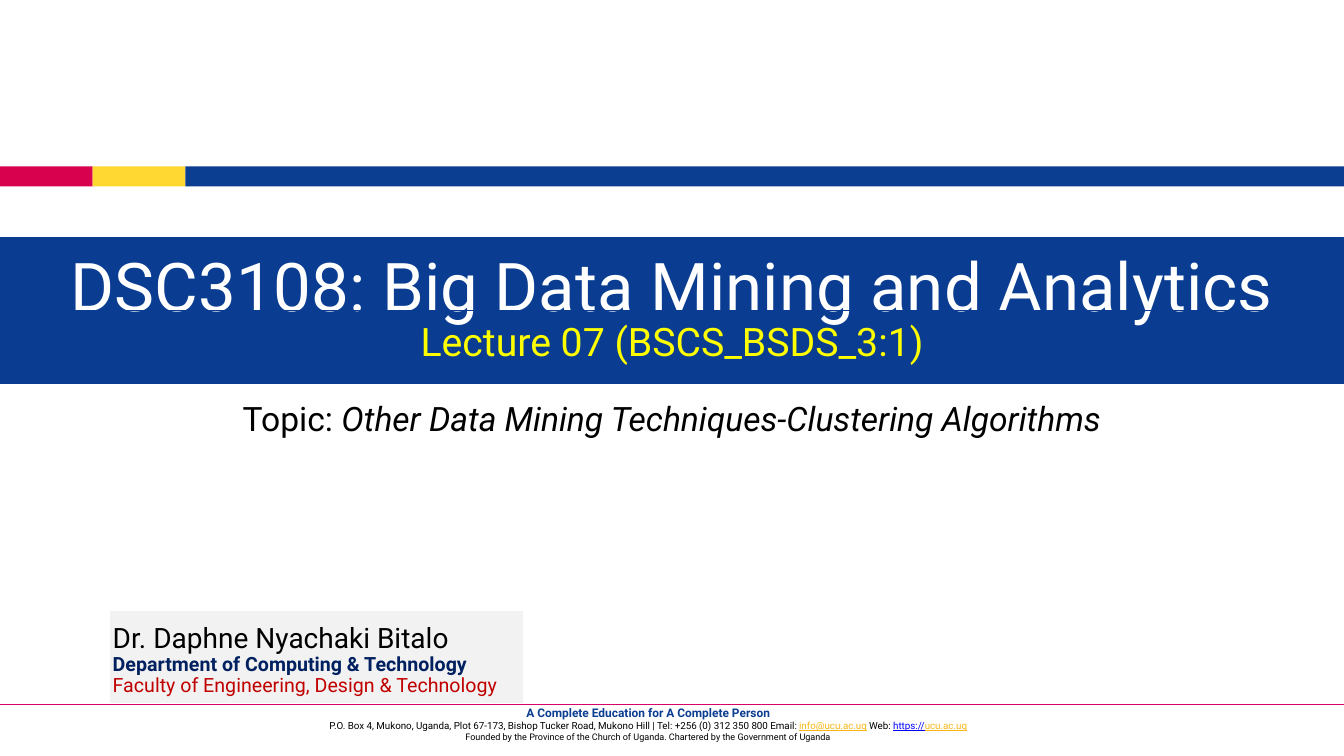
import pptx
import pptx.dml.color
import pptx.enum.shapes
import pptx.enum.text
import pptx.oxml.ns
import pptx.util
from dataclasses import dataclass
from lxml import etree


@dataclass(frozen=True)
class Theme:
    font: str = "Roboto"
    blue: str = "0B3D91"
    band: str = "0A3D91"
    red: str = "D7014D"
    gold: str = "FFD932"
    rule: str = "D70167"
    panel: str = "F2F2F2"
    black: str = "000000"
    white: str = "FFFFFF"
    yellow: str = "FFFF00"
    navy: str = "002060"
    crimson: str = "C00000"
    link: str = "0000FF"
    amber: str = "F7B615"
    title: float = 48
    lecture: float = 28
    topic: float = 24
    lecturer: float = 20
    unit: float = 14
    motto: float = 8.5
    address: float = 7
    charter: float = 6.5
    outline: float = 0.75


THEME = Theme()
WIDTH, HEIGHT = 13.33, 7.5
BREAK = "\n"

# Each paragraph is a list of runs: text, size, colour, style (b, i, u)
TITLE = [[("DSC3108: Big Data Mining and Analytics", THEME.title, THEME.white, "")]]
LECTURE = [[("Lecture 07 (BSCS_BSDS_3:1)", THEME.lecture, THEME.yellow, "")]]
TOPIC = [[
    ("Topic: ", THEME.topic, THEME.black, ""),
    ("Other Data Mining Techniques-Clustering Algorithms", THEME.topic, THEME.black, "i"),
]]
LECTURER = [
    [("Dr. Daphne Nyachaki Bitalo", THEME.lecturer, THEME.black, "")],
    [("Department of Computing & Technology", THEME.unit, THEME.navy, "b")],
    [("Faculty of Engineering, Design & Technology", THEME.unit, THEME.crimson, "")],
]
FOOTER = [
    [
        ("A Complete Education for A Complete Person", THEME.motto, THEME.blue, "b"),
        BREAK,
        ("P.O. Box 4, Mukono, Uganda, Plot 67-173, Bishop Tucker Road, Mukono Hill"
         " | Tel: +256 (0) 312 350 800 Email: ", THEME.address, THEME.black, ""),
        ("info@ucu.ac.ug", THEME.address, THEME.amber, "u"),
        (" ", THEME.address, THEME.link, ""),
        ("Web: ", THEME.address, THEME.black, ""),
        ("https://", THEME.address, THEME.link, "u"),
        ("ucu.ac.ug", THEME.address, THEME.amber, "u"),
    ],
    [("Founded by the Province of the Church of Uganda. Chartered by the Government of Uganda",
      THEME.charter, THEME.black, "")],
]

# Areas: left, top, width, height in percent of the slide
STRIPE_TOP, STRIPE_HEIGHT, STRIPE_STEP = 22, 2.67, 6.9
STRIPES = [
    (THEME.red, 0, STRIPE_STEP),
    (THEME.gold, STRIPE_STEP, STRIPE_STEP),
    (THEME.blue, 2 * STRIPE_STEP, 100 - 2 * STRIPE_STEP),
]
FOOTER_AREA = (17.4, 92.67, 61.67, 6.27)
RULE_TOP = 93.2
TOPIC_AREA = (12.5, 52.53, 75, 24.13)
PANEL_AREA = (8.25, 80.93, 30.6, 12)
LECTURER_AREA = (7.65, 81.33, 31.2, 12.13)
BAND_AREA = (0, 31.47, 100, 19.33)
TITLE_AREA = (0, 31.87, 100, 12.93)
LECTURE_AREA = (0, 41.07, 100, 8.93)

CENTER = pptx.enum.text.PP_ALIGN.CENTER
LEFT = pptx.enum.text.PP_ALIGN.LEFT
MIDDLE = pptx.enum.text.MSO_ANCHOR.MIDDLE
TOP = pptx.enum.text.MSO_ANCHOR.TOP


def rgb(colour):
    return pptx.dml.color.RGBColor.from_string(colour)


def to_lengths(area):
    """Turn percentages of the slide into lengths."""
    return [pptx.util.Inches(share * side / 100)
            for share, side in zip(area, (WIDTH, HEIGHT, WIDTH, HEIGHT))]


def set_outline(shape, colour):
    shape.line.color.rgb = rgb(colour)
    shape.line.width = pptx.util.Pt(THEME.outline)


def add_box(slide, area, fill=None, outline=None):
    shape = slide.shapes.add_shape(
        pptx.enum.shapes.MSO_SHAPE.RECTANGLE, *to_lengths(area))
    shape.shadow.inherit = False
    if fill:
        shape.fill.solid()
        shape.fill.fore_color.rgb = rgb(fill)
    else:
        shape.fill.background()
    if outline:
        set_outline(shape, outline)
    else:
        shape.line.fill.background()
    return shape


def write(shape, paragraphs, alignment=CENTER, anchor=MIDDLE, spacing=0.9):
    frame = shape.text_frame
    frame.word_wrap = True
    frame.auto_size = pptx.enum.text.MSO_AUTO_SIZE.NONE
    frame.vertical_anchor = anchor
    for index, runs in enumerate(paragraphs):
        paragraph = frame.add_paragraph() if index else frame.paragraphs[0]
        paragraph.alignment = alignment
        paragraph.line_spacing = spacing
        paragraph.space_before = pptx.util.Pt(0)
        for item in runs:
            if item == BREAK:
                paragraph.add_line_break()
                continue
            text, size, colour, style = item
            run = paragraph.add_run()
            run.text = text
            run.font.name = THEME.font
            run.font.size = pptx.util.Pt(size)
            run.font.color.rgb = rgb(colour)
            run.font.bold = "b" in style
            run.font.italic = "i" in style
            run.font.underline = "u" in style


def add_text(slide, area, paragraphs, **layout):
    write(slide.shapes.add_textbox(*to_lengths(area)), paragraphs, **layout)


def add_rule(slide):
    left, top, right, bottom = to_lengths((0, RULE_TOP, 100, RULE_TOP))
    rule = slide.shapes.add_connector(
        pptx.enum.shapes.MSO_CONNECTOR.STRAIGHT, left, top, right, bottom)
    rule.line.color.rgb = rgb(THEME.rule)
    rule.line.width = pptx.util.Pt(1)
    etree.SubElement(rule.element.spPr, pptx.oxml.ns.qn("a:effectLst"))


def place_title(slide):
    """Put the title placeholder in front of the band drawn so far."""
    title = slide.shapes.title
    title.left, title.top, title.width, title.height = to_lengths(TITLE_AREA)
    set_outline(title, THEME.band)
    write(title, TITLE)
    title.element.getparent().append(title.element)


def main():
    presentation = pptx.Presentation()
    presentation.slide_width = pptx.util.Inches(WIDTH)
    presentation.slide_height = pptx.util.Inches(HEIGHT)
    slide = presentation.slides.add_slide(presentation.slide_layouts.get_by_name("Title Only"))

    for colour, left, width in STRIPES:
        add_box(slide, (left, STRIPE_TOP, width, STRIPE_HEIGHT), colour)
    add_text(slide, FOOTER_AREA, FOOTER, anchor=TOP, spacing=1.0)
    add_rule(slide)
    add_text(slide, TOPIC_AREA, TOPIC, anchor=TOP)
    add_box(slide, PANEL_AREA, THEME.panel, THEME.panel)
    add_text(slide, LECTURER_AREA, LECTURER, alignment=LEFT)
    add_box(slide, BAND_AREA, THEME.band, THEME.band)
    place_title(slide)
    write(add_box(slide, LECTURE_AREA, outline=THEME.band), LECTURE)

    presentation.save("out.pptx")


if __name__ == "__main__":
    main()
